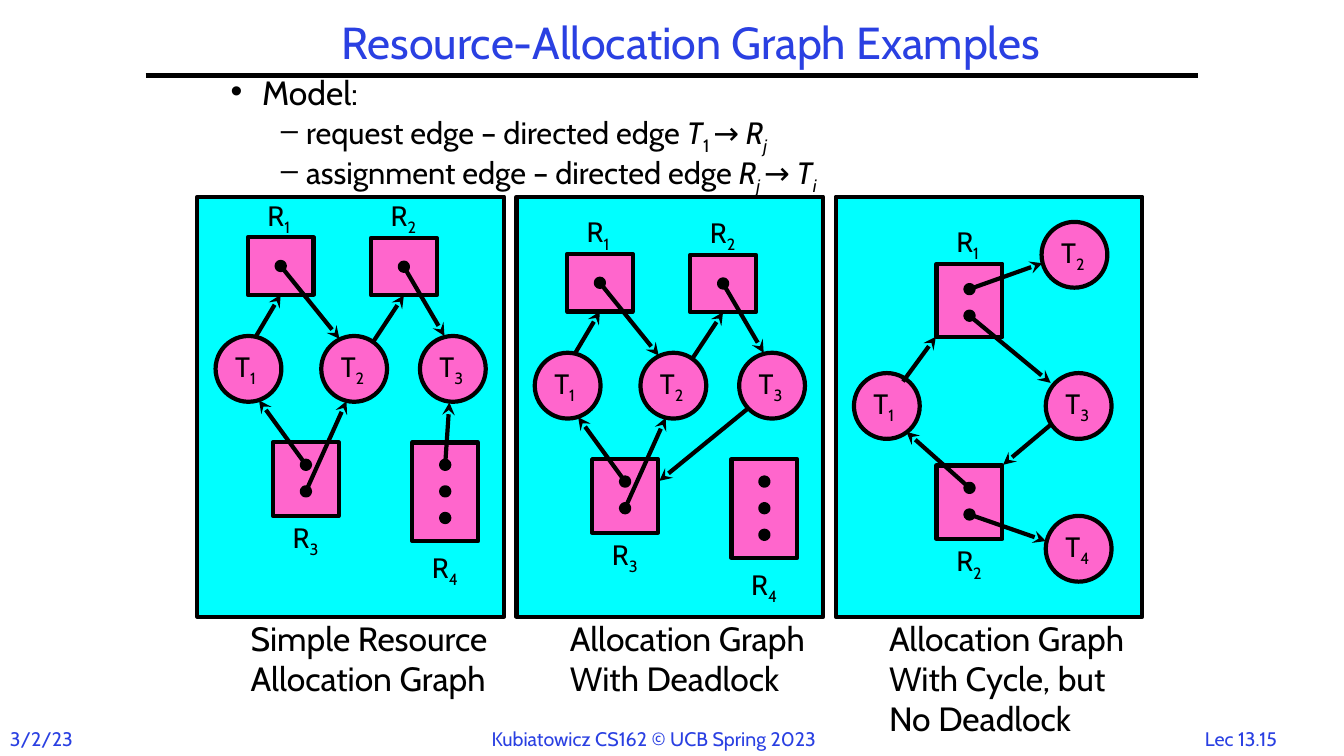
import pptx
import pptx.util
import pptx.dml.color
import pptx.enum.shapes
import pptx.enum.text
import pptx.oxml
import pptx.oxml.ns
from dataclasses import dataclass
from lxml import etree

Pt = pptx.util.Pt
SHAPE = pptx.enum.shapes.MSO_SHAPE
ANCHOR = pptx.enum.text.MSO_ANCHOR
ALIGN = pptx.enum.text.PP_ALIGN
qn = pptx.oxml.ns.qn


@dataclass(frozen=True)
class Theme:
    font: str = "Cabin"
    ink: str = "000000"
    blue: str = "2A40E2"
    panel: str = "00FFFF"
    node: str = "FF66CC"
    line: float = 3
    title: float = 32
    body: float = 24
    sub: float = 22
    label: float = 20
    footer: float = 14


T = Theme()
NODE = 47            # circle diameter and resource width
DOT = 5.8
DOT_GAP = 19
BELOW = "below"
ABOVE = "above"


def rgb(code):
    return pptx.dml.color.RGBColor.from_string(code)


def style_run(r, size, color=T.ink, italic=False, sub=False):
    r.font.name, r.font.size = T.font, Pt(size)
    r.font.color.rgb = rgb(color)
    if italic:
        r.font.italic = True
    if sub:
        r._r.get_or_add_rPr().set("baseline", "-25000")


def add_runs(p, runs, size):
    """Each run is (text, flags): i for italic, s for subscript."""
    for text, flags in runs:
        r = p.add_run()
        r.text = text
        style_run(r, size, italic="i" in flags, sub="s" in flags)


def text_box(shapes, x, y, w, h, text, size, color=T.ink, align=ALIGN.LEFT):
    tb = shapes.add_textbox(Pt(x), Pt(y), Pt(w), Pt(h))
    tf = tb.text_frame
    tf.word_wrap = False
    tf.text = text
    for p in tf.paragraphs:
        p.alignment = align
        for r in p.runs:
            style_run(r, size, color)
    return tf


def add_block(shapes, kind, x, y, w, h, fill):
    sp = shapes.add_shape(kind, Pt(x), Pt(y), Pt(w), Pt(h))
    sp.shadow.inherit = False
    sp.fill.solid()
    sp.fill.fore_color.rgb = rgb(fill)
    sp.line.color.rgb = rgb(T.ink)
    sp.line.width = Pt(T.line)
    return sp


def add_line(shapes, start, end, arrow=False):
    c = shapes.add_connector(pptx.enum.shapes.MSO_CONNECTOR.STRAIGHT,
                             *(Pt(v) for v in (*start, *end)))
    c.line.color.rgb = rgb(T.ink)
    c.line.width = Pt(T.line)
    if arrow:
        etree.SubElement(c.line._get_or_add_ln(), qn("a:tailEnd"), type="stealth")
    etree.SubElement(c._element.spPr, qn("a:effectLst"))
    return c


def add_thread(shapes, x, y, number):
    sp = add_block(shapes, SHAPE.OVAL, x, y, NODE, NODE, T.node)
    tf = sp.text_frame
    tf.word_wrap = False
    tf.vertical_anchor = ANCHOR.MIDDLE
    p = tf.paragraphs[0]
    p.alignment = ALIGN.LEFT
    add_runs(p, [("T", ""), (number, "s")], T.label)


def add_resource(shapes, x, y, h, number, first_dot, dots, side, gap=0):
    """Draw a labelled resource; return its box and the centres of its dots."""
    box = add_block(shapes, SHAPE.RECTANGLE, x, y, NODE, h, T.node)
    centres = [(x + NODE / 2, y + first_dot + i * DOT_GAP) for i in range(dots)]
    for cx, cy in centres:
        add_block(shapes, SHAPE.OVAL, cx - DOT / 2, cy - DOT / 2, DOT, DOT, T.ink)
    label_y = y - 31.5 if side == ABOVE else y + h + gap
    tf = text_box(shapes, x + 7, label_y, 36.5, 31.5, "", T.label)
    add_runs(tf.paragraphs[0], [("R", ""), (number, "s")], T.label)
    return box, centres


def graph_panel(s, x, y, w, h, graph, caption):
    shapes = s.shapes.add_group_shape().shapes
    add_block(shapes, SHAPE.RECTANGLE, x, y, w, h, T.panel)
    oy = y + graph.get("drop", 0)

    def place(point):
        return x + point[0], oy + point[1]

    # Threads and resources
    for number, point in graph["threads"].items():
        add_thread(shapes, *place(point), number)
    resources = {}
    for number, (rx, ry, *rest) in graph["resources"].items():
        height, *dots = rest
        resources[number] = add_resource(shapes, *place((rx, ry)), height, number, *dots)

    # Assignment edges start at a dot; request edges start at a thread
    for number, dot, end in graph["assignments"]:
        add_line(shapes, resources[number][1][dot], place(end), arrow=True)
    for start, end in graph["requests"]:
        if isinstance(end, str):
            c = add_line(shapes, place(start), place(start), arrow=True)
            c.end_connect(resources[end][0], 2)
        else:
            add_line(shapes, place(start), place(end), arrow=True)

    text_box(shapes, x + 31, y + 297, 194, 30 * (caption.count("\n") + 1) + 6,
             caption, T.body)


def title_area(s, x, y, w, h):
    sp = s.shapes.title
    sp.left, sp.top, sp.width, sp.height = Pt(x), Pt(y), Pt(w), Pt(h)
    tf = sp.text_frame
    tf.text = "Resource-Allocation Graph Examples"
    tf.vertical_anchor = ANCHOR.MIDDLE
    tf.auto_size = pptx.enum.text.MSO_AUTO_SIZE.NONE
    p = tf.paragraphs[0]
    p.alignment, p.line_spacing = ALIGN.CENTER, 0.9
    style_run(p.runs[0], T.title, T.blue)


def model_list(s, x, y, w, h):
    sp = s.placeholders[1]
    sp.left, sp.top, sp.width, sp.height = Pt(x), Pt(y), Pt(w), Pt(h)
    tf = sp.text_frame
    tf.auto_size = pptx.enum.text.MSO_AUTO_SIZE.NONE
    tf.vertical_anchor = ANCHOR.TOP
    items = [
        (0, [("Model:", "")]),
        (1, [("request edge – directed edge ", ""), ("T", "i"), ("1 ", "s"),
             ("→ ", ""), ("R", "i"), ("j", "is")]),
        (1, [("assignment edge – directed edge ", ""), ("R", "i"), ("j ", "is"),
             ("→ ", ""), ("T", "i"), ("i", "is")]),
    ]
    levels = [(T.body, 22.5, 22.5, "•", 0), (T.sub, 54, 18, "–", 4.4)]
    for i, (level, runs) in enumerate(items):
        p = tf.add_paragraph() if i else tf.paragraphs[0]
        size, margin, hang, bullet, before = levels[level]
        p.level = level
        pPr = p._p.get_or_add_pPr()
        pPr.set("marL", str(Pt(margin)))
        pPr.set("indent", str(-Pt(hang)))
        etree.SubElement(pPr, qn("a:buChar"), char=bullet)
        p.line_spacing, p.space_before = 0.8, Pt(before)
        add_runs(p, runs, size)


def footer(s, y):
    for x, w, text, align in [
        (0, 80, "3/2/23", ALIGN.LEFT),
        (344, 265, "Kubiatowicz CS162 © UCB Spring 2023", ALIGN.LEFT),
        (847.5, 78, "Lec 13.15", ALIGN.CENTER),
    ]:
        text_box(s.shapes, x, y, w, 24.5, text, T.footer, T.blue, align)


# Graph data, in points from the corner of the panel
SIMPLE = dict(
    threads={"1": (13, 99.5), "2": (88.5, 99.5), "3": (159, 99.5)},
    resources={"1": (36, 29, 41, 20.5, 1, ABOVE), "2": (124, 29.5, 41, 20.5, 1, ABOVE),
               "3": (54, 175.5, 52.5, 16, 2, BELOW),
               "4": (153.5, 175.5, 70.5, 16, 3, BELOW, 3.5)},
    assignments=[("1", 0, (101.5, 101.5)), ("2", 0, (176.5, 99.5)),
                 ("3", 0, (44, 145.5)), ("3", 1, (106.5, 146))],
    requests=[((42, 99.5), "1"), ((126, 103), "2")],
)
DEADLOCK = dict(SIMPLE, drop=12,
                requests=SIMPLE["requests"] + [((165, 139.5), (102, 191))])
SIMPLE = dict(SIMPLE, assignments=SIMPLE["assignments"] + [("4", 0, (180, 147))])
CYCLE = dict(
    threads={"1": (13, 126), "2": (147, 18), "3": (150, 126), "4": (150, 228)},
    resources={"1": (72, 48, 52.5, 18, 2, ABOVE), "2": (72, 192, 52.5, 16, 2, BELOW)},
    assignments=[("1", 0, (147.5, 47.5)), ("1", 1, (153.5, 133)),
                 ("2", 0, (50.5, 168)), ("2", 1, (150, 246))],
    requests=[((48, 132), (71.5, 100)), ((154, 162.5), (119.5, 191.5))],
)
PANELS = [
    (SIMPLE, "Simple Resource\nAllocation Graph"),
    (DEADLOCK, "Allocation Graph\nWith Deadlock"),
    (CYCLE, "Allocation Graph\nWith Cycle, but\nNo Deadlock"),
]


def main():
    prs = pptx.Presentation()
    prs.slide_width, prs.slide_height = Pt(960), Pt(540)
    s = prs.slides.add_slide(prs.slide_layouts[1])
    title_area(s, 168, 12, 651, 40.5)
    add_line(s.shapes, (104, 54), (856, 54))
    model_list(s, 157.5, 53, 630, 102)
    for i, (graph, caption) in enumerate(PANELS):
        graph_panel(s, 141 + i * 228, 140.5, 219, 300, graph, caption)
    footer(s, 515.5)
    prs.save("out.pptx")


if __name__ == "__main__":
    main()
